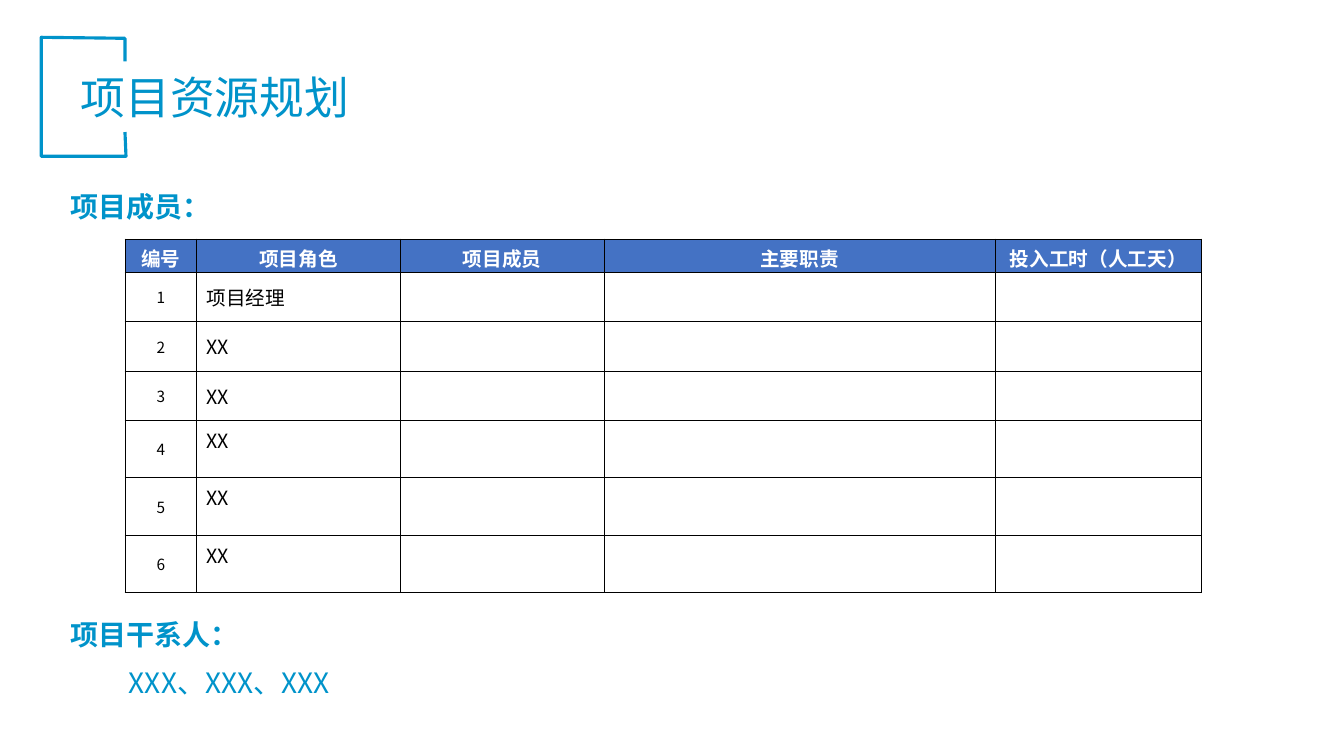
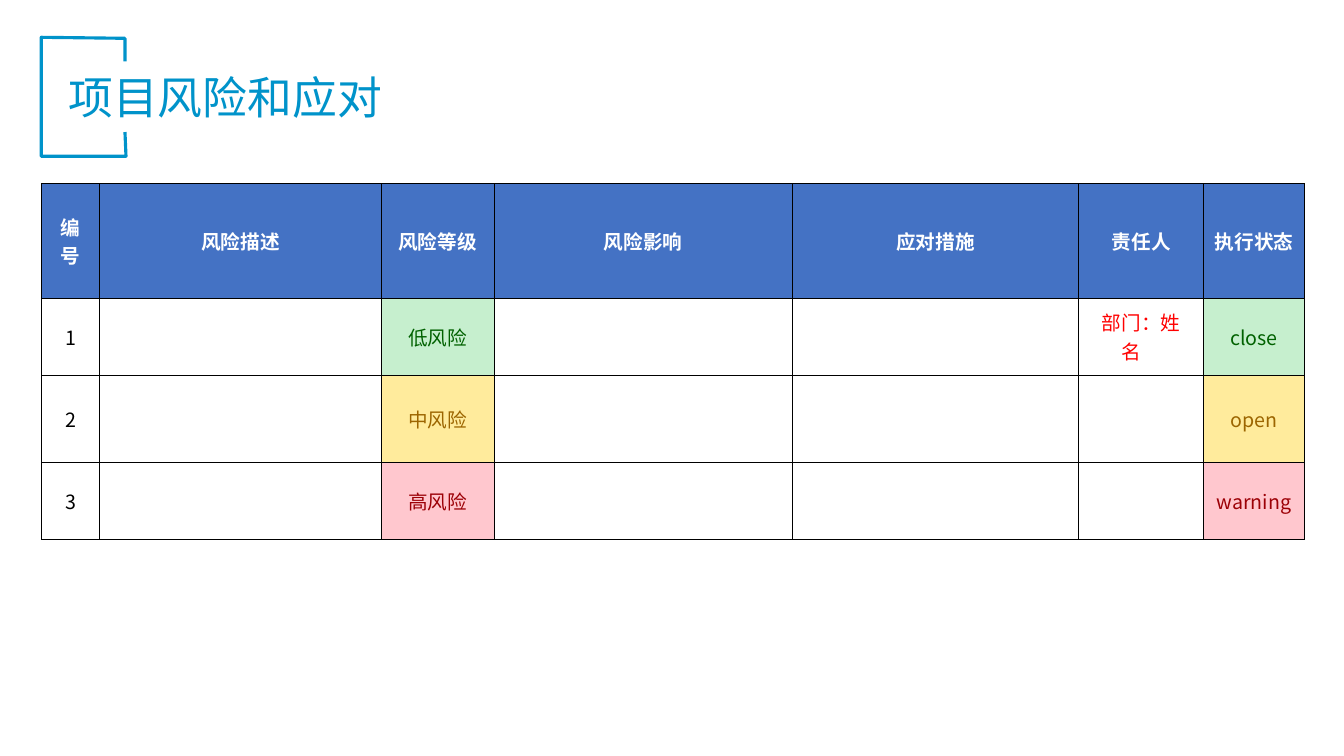
"""Build two project planning slides: resources and risks."""
import pptx
import pptx.util
import pptx.dml.color
import pptx.enum.text
from lxml import etree
from pptx.oxml.ns import qn

Inches, Pt = pptx.util.Inches, pptx.util.Pt
ALIGN, ANCHOR = pptx.enum.text.PP_ALIGN, pptx.enum.text.MSO_ANCHOR

FONT = "Noto Sans CJK SC"
COLORS = {
    "brand": "0093CA", "header": "4472C4", "white": "FFFFFF", "black": "000000", "red": "FF0000",
    "low": "006100", "low_fill": "C6EFCE",
    "mid": "9C6500", "mid_fill": "FFEB9C",
    "high": "9C0006", "high_fill": "FFC7CE",
}
BRACKET = [(1.24, 1.31), (1.25, 1.55), (0.41, 1.55), (0.41, 0.37), (1.24, 0.38), (1.24, 0.61)]
STYLES = {
    "title": {"size": Pt(32), "bold": False},
    "label": {"size": Pt(20), "bold": True},
    "body": {"size": Pt(20), "bold": False},
    "header": {"size": Pt(14), "bold": True},
    "cell": {"size": Pt(14), "bold": False},
    "number": {"size": Pt(11), "bold": False},
}

ROLES = ["项目经理", "XX", "XX", "XX", "XX", "XX"]
RESOURCES = {
    "at": (1.24, 2.37),
    "cols": [0.71, 2.02, 2.02, 3.88, 2.05],
    "rows": [0.33] + [0.49] * 3 + [0.57] * 3,
    "header": ["编号", "项目角色", "项目成员", "主要职责", "投入工时（人工天）"],
    "body": [[str(n), role, "", "", ""] for n, role in enumerate(ROLES, 1)],
}
RISKS = {
    "at": (0.41, 1.82),
    "cols": [0.58, 2.79, 1.12, 2.96, 2.84, 1.24, 1],
    "rows": [1.14, 0.76, 0.87, 0.76],
    "header": ["编号", "风险描述", "风险等级", "风险影响", "应对措施", "责任人", "执行状态"],
    "body": [
        ["1", "", "低风险", "", "", "部门：姓名　", "close"],
        ["2", "", "中风险", "", "", "", "open"],
        ["3", "", "高风险", "", "", "", "warning"],
    ],
}
LEVELS = ["low", "mid", "high"]
LEVEL_COLS, OWNER_COL = (2, 6), 5


def rgb(name):
    return pptx.dml.color.RGBColor.from_string(COLORS[name])


def write(tf, text, style, color, align=ALIGN.LEFT):
    p = tf.paragraphs[0]
    p.alignment = align
    r = p.add_run()
    r.text = text
    for key, value in STYLES[style].items():
        setattr(r.font, key, value)
    r.font.color.rgb = rgb(color)
    r.font.name = FONT
    etree.SubElement(r.font._element, qn("a:ea"), typeface=FONT)


def add_text(s, text, style, left, top, width, height):
    tf = s.shapes.add_textbox(*map(Inches, (left, top, width, height))).text_frame
    tf.word_wrap = True
    tf.vertical_anchor = ANCHOR.MIDDLE
    write(tf, text, style, "brand")


def add_slide(prs, title, left):
    s = prs.slides.add_slide(prs.slide_layouts[6])
    points = [(Inches(x), Inches(y)) for x, y in BRACKET]
    builder = s.shapes.build_freeform(*points[0])
    builder.add_line_segments(points[1:], close=False)
    sp = builder.convert_to_shape()
    sp.shadow.inherit = False
    sp.fill.background()
    sp.line.color.rgb = rgb("brand")
    sp.line.width = Pt(2.25)
    add_text(s, title, "title", left, 0.64, 9.5, 0.64)
    return s


def format_cell(cell, fill):
    cell.vertical_anchor = ANCHOR.MIDDLE
    tcPr = cell._tc.get_or_add_tcPr()
    for side in "LRTB":
        ln = etree.SubElement(tcPr, qn("a:ln" + side), w=str(Pt(0.5)))
        solid = etree.SubElement(ln, qn("a:solidFill"))
        etree.SubElement(solid, qn("a:srgbClr"), val=COLORS["black"])
    if fill:
        cell.fill.solid()
        cell.fill.fore_color.rgb = rgb(fill)
    else:
        cell.fill.background()


def add_table(s, data, cell_style):
    cols, rows = data["cols"], data["rows"]
    box = (*data["at"], sum(cols), sum(rows))
    table = s.shapes.add_table(len(rows), len(cols), *map(Inches, box)).table
    table.first_row = table.horz_banding = False
    for col, width in zip(table.columns, cols):
        col.width = Inches(width)
    for row, height in zip(table.rows, rows):
        row.height = Inches(height)
    for i, texts in enumerate([data["header"]] + data["body"]):
        for j, text in enumerate(texts):
            if i == 0:
                style, color, fill, align = "header", "white", "header", ALIGN.CENTER
            else:
                style, color, fill, align = cell_style(i, j)
            cell = table.cell(i, j)
            format_cell(cell, fill)
            if text:
                write(cell.text_frame, text, style, color, align)
    return table


def resource_style(i, j):
    if j == 0:
        return "number", "black", None, ALIGN.CENTER
    return "cell", "black", None, ALIGN.LEFT


def risk_style(i, j):
    if j in LEVEL_COLS:
        level = LEVELS[i - 1]
        return "cell", level, level + "_fill", ALIGN.CENTER
    return "cell", "red" if j == OWNER_COL else "black", None, ALIGN.CENTER


def main():
    prs = pptx.Presentation()
    prs.slide_width, prs.slide_height = Inches(13.33), Inches(7.5)

    s = add_slide(prs, "项目资源规划", 0.7)
    add_text(s, "项目成员：", "label", 0.6, 1.83, 2.5, 0.44)
    table = add_table(s, RESOURCES, resource_style)
    for cell in table.rows[0].cells:
        cell.margin_bottom = 0
    for i in range(4, 7):
        table.cell(i, 1).vertical_anchor = ANCHOR.TOP
    add_text(s, "项目干系人：", "label", 0.6, 6.07, 2.5, 0.44)
    add_text(s, "XXX、XXX、XXX", "body", 1.18, 6.55, 3.55, 0.44)

    s = add_slide(prs, "项目风险和应对", 0.58)
    add_table(s, RISKS, risk_style)
    prs.save("out.pptx")


if __name__ == "__main__":
    main()
